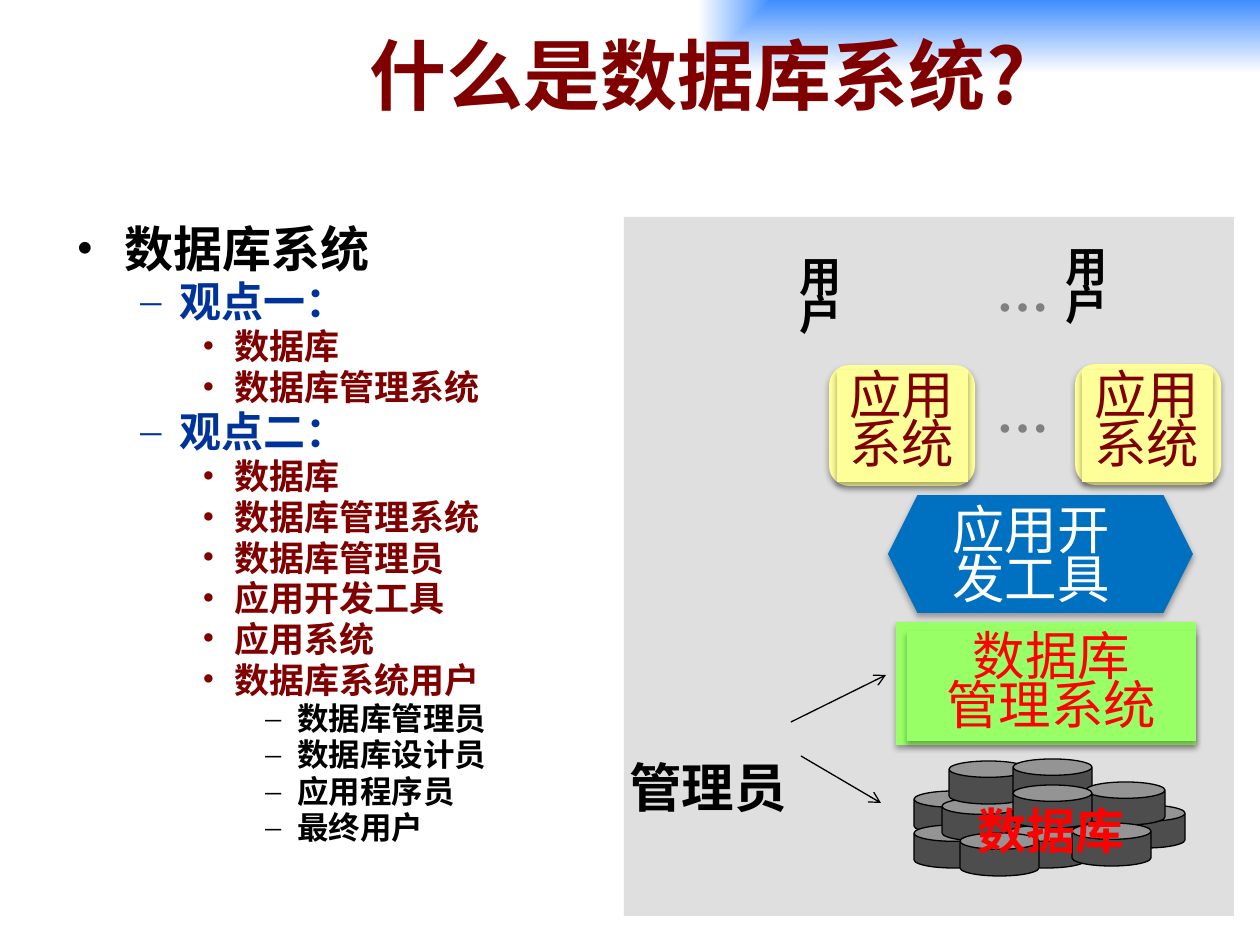
"""Build a slide that explains the parts of a database system."""
from lxml.etree import SubElement
from pptx import Presentation
from pptx.dml.color import RGBColor
from pptx.enum.shapes import MSO_CONNECTOR, MSO_SHAPE as Shape
from pptx.enum.text import MSO_ANCHOR as Anchor, MSO_AUTO_SIZE, PP_ALIGN as Align
from pptx.oxml import parse_xml
from pptx.oxml.ns import nsdecls, qn
from pptx.util import Pt

PX = 914400 / 126
BLACK = RGBColor(0x00, 0x00, 0x00)
WHITE = RGBColor(0xFF, 0xFF, 0xFF)
PANEL_GRAY = RGBColor(0xDF, 0xDF, 0xDF)
DISK_GRAY = RGBColor(0x4D, 0x4D, 0x4D)
DOT_GRAY = RGBColor(0x80, 0x80, 0x80)
GREEN = RGBColor(0x99, 0xFF, 0x66)
BLUE = RGBColor(0x00, 0x70, 0xC0)
NAVY = RGBColor(0x00, 0x33, 0x99)
YELLOW = RGBColor(0xFF, 0xFF, 0x99)
RED = RGBColor(0xFF, 0x00, 0x00)
MAROON = RGBColor(0x80, 0x00, 0x00)
SERIF, SANS, TITLE_FONT = "Times New Roman", "Noto Sans CJK SC", "Noto Sans CJK JP"

SHADOW = (
    f'<a:effectLst {nsdecls("a")}><a:outerShdw blurRad="{Pt(3.5)}" dist="{Pt(2.2)}" dir="5400000" rotWithShape="0">'
    '<a:srgbClr val="000000"><a:alpha val="32000"/></a:srgbClr></a:outerShdw></a:effectLst>'
)
TITLE_GRADIENT = (
    f'<a:gradFill {nsdecls("a")} rotWithShape="1"><a:gsLst>'
    '<a:gs pos="0"><a:srgbClr val="3F8DFF"/></a:gs><a:gs pos="100000"><a:srgbClr val="FFFFFF"/></a:gs>'
    '</a:gsLst><a:path path="rect"><a:fillToRect l="100000" b="100000"/></a:path></a:gradFill>'
)

presentation = Presentation()
presentation.slide_width, presentation.slide_height = round(1260 * PX), round(945 * PX)
slide = presentation.slides.add_slide(presentation.slide_layouts[5])


def add_block(kind, box, fill, shadow=False):
    shape = slide.shapes.add_shape(kind, *(round(value * PX) for value in box))
    shape.fill.solid()
    shape.fill.fore_color.rgb = fill
    shape.line.fill.background()
    shape.shadow.inherit = False
    if shadow:
        properties = shape.element.spPr
        properties.replace(properties.find(qn("a:effectLst")), parse_xml(SHADOW))
    return shape


def write_text(shape, lines, color, size, name=SERIF, bold=False, wrap=True, anchor=Anchor.TOP, **layout):
    frame = shape.text_frame
    for key, value in dict(word_wrap=wrap, auto_size=MSO_AUTO_SIZE.NONE, vertical_anchor=anchor).items():
        setattr(frame, key, value)
    frame.text = "\n".join(lines)
    for paragraph in frame.paragraphs:
        for key, value in layout.items():
            setattr(paragraph, key, value)
        run = paragraph.runs[0]
        for key, value in dict(name=name, size=Pt(size), bold=bold).items():
            setattr(run.font, key, value)
        run.font.color.rgb = color
        east_asian = SANS if name == SERIF else name
        SubElement(run.font._element, qn("a:ea"), typeface=east_asian)


title = slide.shapes.title
for key, value in dict(left=136, top=0, width=1124, height=147).items():
    setattr(title, key, round(value * PX))
title.element.spPr.append(parse_xml(TITLE_GRADIENT))
write_text(title, ["什么是数据库系统?"], MAROON, 44, TITLE_FONT, True,
           anchor=Anchor.MIDDLE, alignment=Align.CENTER)

add_block(Shape.RECTANGLE, (624, 217, 610, 699), PANEL_GRAY)

add_block(Shape.RECTANGLE, (896, 622, 300, 123), GREEN, True)
manager = add_block(Shape.RECTANGLE, (907, 631, 289, 110), GREEN, True)
write_text(manager, ["数据库", "管理系统"], RED, 30, wrap=False, alignment=Align.CENTER, line_spacing=Pt(28))

DISKS = [
    (914, 791), (914, 825), (1058, 819), (1008, 786), (942, 798),
    (1068, 808), (1026, 819), (949, 761), (1013, 759), (1007, 825),
    (1106, 805), (1086, 782), (1013, 785), (960, 833), (1072, 823),
]
for left, top in DISKS:
    disk = add_block(Shape.CAN, (left, top, 79, 43), DISK_GRAY)
    disk.adjustments[0] = 0.38
    disk.line.color.rgb = BLACK
    disk.line.width = Pt(0.75)

add_block(Shape.HEXAGON, (888, 495, 305, 118), BLUE, True)

for left, top, text_left in [(1075, 364, 1082), (829, 365, 837)]:
    add_block(Shape.FLOWCHART_ALTERNATE_PROCESS, (left, top, 146, 121), YELLOW, True)
    application = add_block(Shape.RECTANGLE, (text_left, 370, 131, 112), YELLOW, True)
    write_text(application, ["应用", "系统"], MAROON, 30, SANS,
               alignment=Align.JUSTIFY, line_spacing=Pt(28))

loose = dict(bold=True, alignment=Align.JUSTIFY, line_spacing=1.1)
user = dict(name=SANS, bold=True, alignment=Align.JUSTIFY, line_spacing=Pt(22))
tool = dict(name=SANS, wrap=False, alignment=Align.CENTER, line_spacing=Pt(28))
LABELS = [
    ((965, 788, 183, 78), ["数据库"], RED, 28, loose),
    ((939, 505, 184, 115), ["应用开", "发工具"], WHITE, 30, tool),
    ((984, 368, 78, 78), ["…"], DOT_GRAY, 30, dict(loose, wrap=False)),
    ((984, 247, 78, 78), ["…"], DOT_GRAY, 30, dict(loose, wrap=False)),
    ((787, 256, 69, 93), ["用", "户"], BLACK, 24, user),
    ((1053, 246, 69, 93), ["用", "户"], BLACK, 24, user),
    ((617, 743, 184, 79), ["管理员"], BLACK, 30, dict(loose, wrap=False)),
]
for box, lines, color, size, layout in LABELS:
    label = slide.shapes.add_textbox(*(round(value * PX) for value in box))
    write_text(label, lines, color, size, **layout)

for points in [(801, 756, 881, 803), (791, 722, 886, 675)]:
    arrow = slide.shapes.add_connector(MSO_CONNECTOR.STRAIGHT, *(round(value * PX) for value in points))
    arrow.line.color.rgb = BLACK
    arrow.line.width = Pt(0.75)
    SubElement(arrow.line._get_or_add_ln(), qn("a:tailEnd"), type="arrow")
    SubElement(arrow.element.spPr, qn("a:effectLst"))

LEVELS = [
    (48, 48, "•", 28, BLACK),
    (103, 39, "–", 24, NAVY),
    (158, 32, "•", 20, MAROON),
    (221, 32, "–", 18, BLACK),
]
OUTLINE = [
    (0, "数据库系统"),
    (1, "观点一："), (2, "数据库"), (2, "数据库管理系统"),
    (1, "观点二："), (2, "数据库"), (2, "数据库管理系统"), (2, "数据库管理员"),
    (2, "应用开发工具"), (2, "应用系统"), (2, "数据库系统用户"),
    (3, "数据库管理员"), (3, "数据库设计员"), (3, "应用程序员"), (3, "最终用户"),
]
outline = slide.shapes.add_textbox(*(round(value * PX) for value in (64, 224, 478, 698)))
write_text(outline, [text for level, text in OUTLINE], BLACK, 28, bold=True, line_spacing=0.8)
for paragraph, (level, text) in zip(outline.text_frame.paragraphs, OUTLINE):
    margin, hanging, bullet, size, color = LEVELS[level]
    paragraph.level = level
    if level:
        paragraph.space_before = Pt(size * 0.2)
    properties = paragraph._p.get_or_add_pPr()
    properties.set("marL", str(round(margin * PX)))
    properties.set("indent", str(round(-hanging * PX)))
    SubElement(properties, qn("a:buFont"), typeface=SERIF)
    SubElement(properties, qn("a:buChar"), char=bullet)
    font = paragraph.runs[0].font
    font.size = Pt(size)
    font.color.rgb = color

presentation.save("out.pptx")
